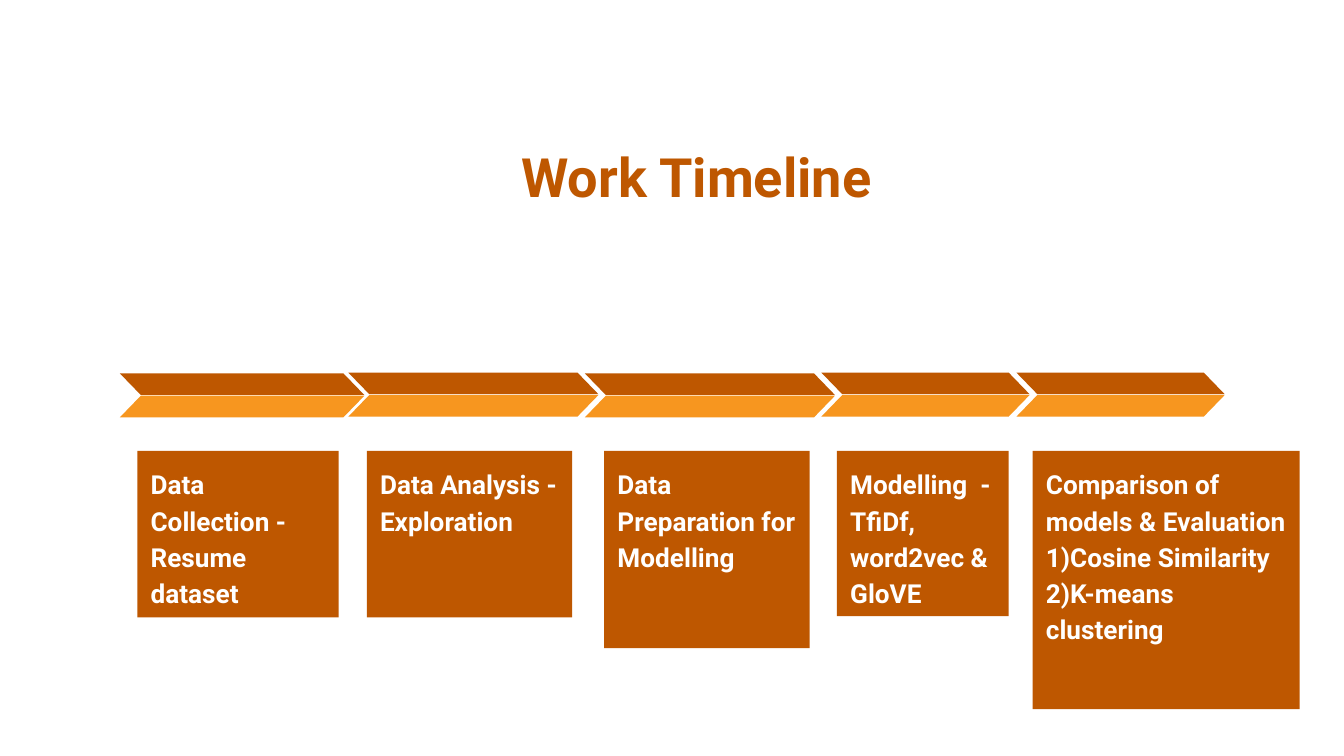
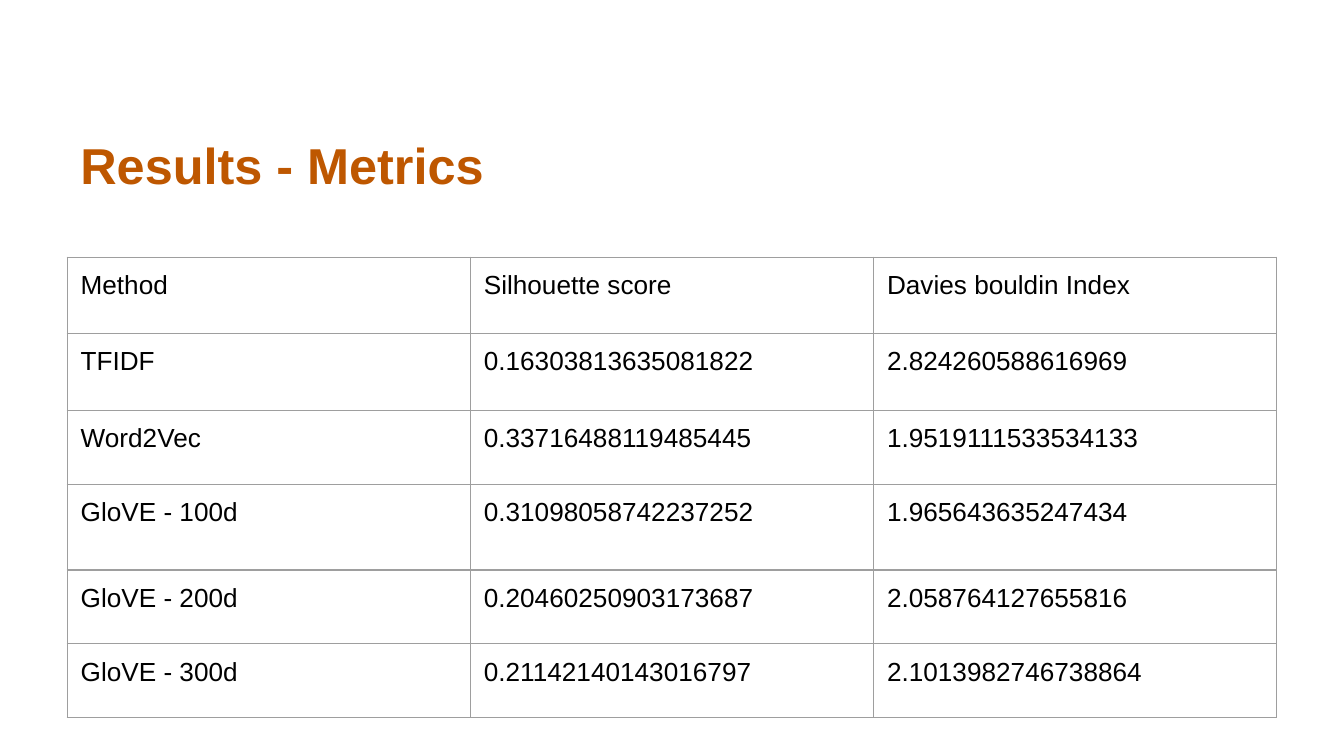
from lxml.etree import SubElement
from pptx import Presentation
from pptx.dml.color import RGBColor
from pptx.enum.shapes import MSO_SHAPE
from pptx.enum.text import MSO_ANCHOR, PP_ALIGN
from pptx.oxml.ns import qn
from pptx.util import Pt

COLORS = {"rust": "BE5700", "amber": "F7961F", "white": "FFFFFF",
          "black": "000000", "grid": "9E9E9E"}
INSET = 7.2

# Arrow (left, top, width), card (left, width, height), card paragraphs
STAGES = [
    ((64.2, 200, 131), (73.6, 107.8, 89.3),
     ["Data Collection -", "Resume dataset"]),
    ((186.6, 199.6, 134), (196.5, 110, 89.3),
     ["Data Analysis - Exploration"]),
    ((313.3, 200, 134), (323.7, 110, 105.8),
     ["Data Preparation for Modelling"]),
    ((440, 199.6, 111.6), (448.4, 92, 88.6),
     ["Modelling  -", "TfiDf, word2vec & GloVE"]),
    ((544.5, 199.6, 111.6), (553.2, 143, 138.4),
     ["Comparison of models & Evaluation", "1)Cosine Similarity",
      "2)K-means clustering"]),
]

METRICS = [
    ("Method", "Silhouette score", "Davies bouldin Index"),
    ("TFIDF", "0.16303813635081822", "2.824260588616969"),
    ("Word2Vec", "0.33716488119485445", "1.9519111533534133"),
    ("GloVE - 100d", "0.31098058742237252", "1.965643635247434"),
    ("GloVE - 200d", "0.20460250903173687", "2.058764127655816"),
    ("GloVE - 300d", "0.21142140143016797", "2.1013982746738864"),
]
ROW_HEIGHTS = [41, 41, 39.6, 46, 39.6, 39.6]


def rgb(name):
    return RGBColor.from_string(COLORS[name])


class Deck:
    def __init__(self):
        self.prs = Presentation()
        self.prs.slide_width, self.prs.slide_height = Pt(720), Pt(405)
        self.slide = None

    def new_slide(self):
        self.slide = self.prs.slides.add_slide(self.prs.slide_layouts[6])
        self.slide.background.fill.solid()
        self.slide.background.fill.fore_color.rgb = rgb("white")

    def add_text(self, frame, lines, size, font, color, bold=False,
                 align=PP_ALIGN.LEFT, spacing=None, inset=INSET):
        frame.word_wrap = True
        frame.margin_left = frame.margin_right = Pt(INSET)
        frame.margin_top = frame.margin_bottom = Pt(inset)
        for i, line in enumerate(lines):
            para = frame.add_paragraph() if i else frame.paragraphs[0]
            para.alignment = align
            para.line_spacing = spacing
            run = para.add_run()
            run.text = line
            run.font.size, run.font.name, run.font.bold = Pt(size), font, bold
            run.font.color.rgb = rgb(color)

    def title(self, text, box, size, font, align=PP_ALIGN.LEFT):
        frame = self.slide.shapes.add_textbox(*map(Pt, box)).text_frame
        frame.vertical_anchor = MSO_ANCHOR.MIDDLE
        self.add_text(frame, [text], size, font, "rust", True, align,
                      inset=3.6)

    def block(self, parent, preset, box, color):
        shape = parent.shapes.add_shape(preset, *map(Pt, box))
        shape.shadow.inherit = False
        shape.fill.solid()
        shape.fill.fore_color.rgb = rgb(color)
        shape.line.fill.background()
        return shape

    def stage(self, arrow, card, lines):
        group = self.slide.shapes.add_group_shape()
        # Two mirrored slanted halves form the arrow
        left, top, width = arrow
        for half, color in enumerate(("rust", "amber")):
            slant = self.block(group, MSO_SHAPE.PARALLELOGRAM,
                               (left, top + 12 * half, width, 11.6), color)
            slant.adjustments[0] = 0.97
            if half == 0:
                slant._element.spPr.find(qn("a:xfrm")).set("flipH", "1")
        # Description card
        left, width, height = card
        panel = self.block(group, MSO_SHAPE.RECTANGLE,
                           (left, 241.5, width, height), "rust")
        panel.text_frame.vertical_anchor = MSO_ANCHOR.TOP
        self.add_text(panel.text_frame, lines, 14, "Roboto", "white", True,
                      spacing=1.15)

    def cell_borders(self, cell):
        props = cell._tc.get_or_add_tcPr()
        for index, side in enumerate(("lnL", "lnR", "lnT", "lnB")):
            line = props.makeelement(qn(f"a:{side}"), {"w": str(Pt(0.75))})
            fill = SubElement(line, qn("a:solidFill"))
            SubElement(fill, qn("a:srgbClr")).set("val", COLORS["grid"])
            props.insert(index, line)

    def table(self, rows, left, top, col_width, heights):
        cols = len(rows[0])
        table = self.slide.shapes.add_table(
            len(rows), cols, Pt(left), Pt(top),
            Pt(col_width * cols), Pt(sum(heights))).table
        table.first_row = table.horz_banding = False
        for column in table.columns:
            column.width = Pt(col_width)
        for r, (values, height) in enumerate(zip(rows, heights)):
            table.rows[r].height = Pt(height)
            for c, value in enumerate(values):
                cell = table.cell(r, c)
                cell.fill.background()
                cell.margin_left = cell.margin_right = Pt(INSET)
                cell.margin_top = cell.margin_bottom = Pt(INSET)
                self.add_text(cell.text_frame, [value], 14, "Arial", "black")
                self.cell_borders(cell)


def main():
    deck = Deck()

    # Work timeline
    deck.new_slide()
    deck.title("Work Timeline", (96.5, 67, 553.5, 54.7), 29, "Roboto",
               PP_ALIGN.CENTER)
    for arrow, card, lines in STAGES:
        deck.stage(arrow, card, lines)

    # Results table
    deck.new_slide()
    deck.title("Results - Metrics", (36, 54, 648, 67.7), 27, "Arial")
    deck.table(METRICS, 36, 137.8, 216, ROW_HEIGHTS)

    deck.prs.save("out.pptx")


if __name__ == "__main__":
    main()
